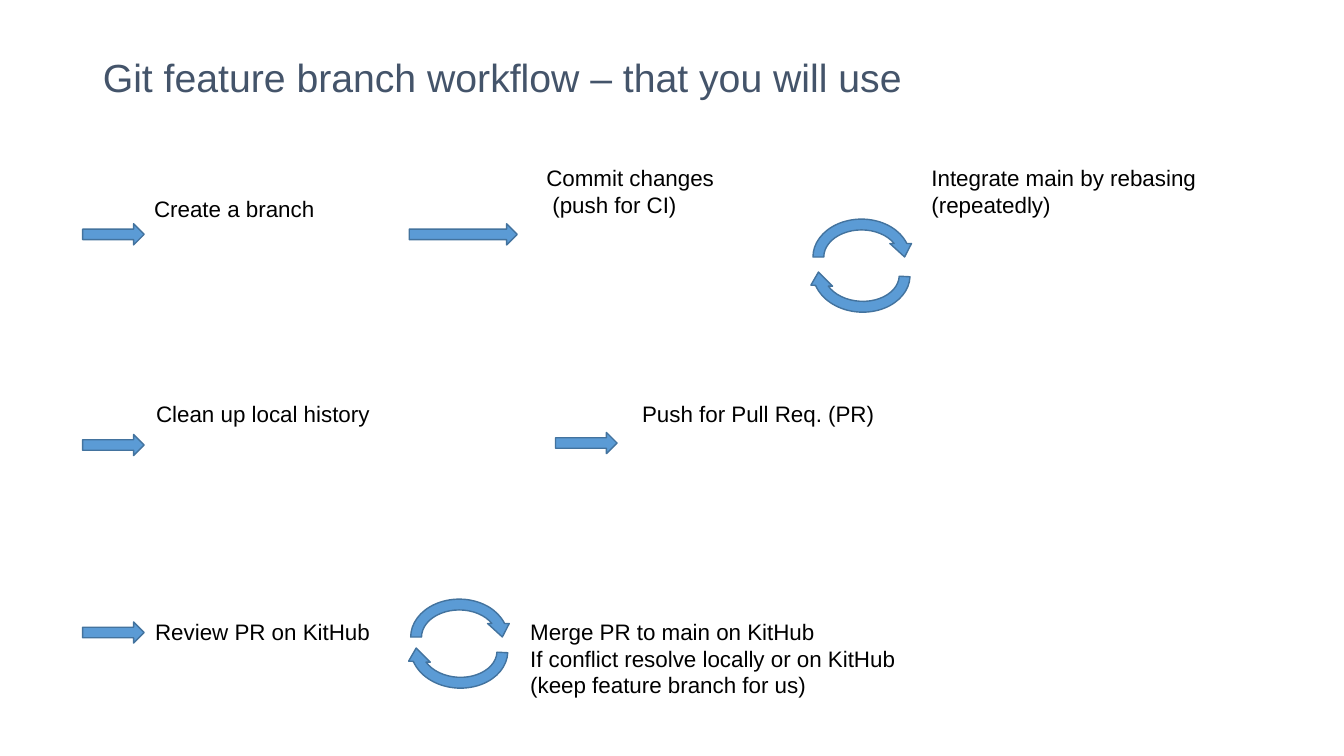
from dataclasses import dataclass

import pptx
import pptx.dml.color
import pptx.enum.shapes
import pptx.enum.text
import pptx.util

EMU_PER_PX = 9144
TITLE_ONLY = 5
PRESET = pptx.enum.shapes.MSO_SHAPE


@dataclass(frozen=True)
class Theme:
    font: str = "Arial"
    title_color: str = "44546A"
    text_color: str = "000000"
    arrow_fill: str = "5B9BD5"
    arrow_line: str = "43739E"
    title_size: int = 28
    label_size: int = 16
    line_width: int = 1


THEME = Theme()


def px(length):
    return pptx.util.Emu(length * EMU_PER_PX)


def rgb(value):
    return pptx.dml.color.RGBColor.from_string(value)


def add_run(paragraph, text, size, color):
    run = paragraph.add_run()
    run.text = text
    run.font.name = THEME.font
    run.font.size = pptx.util.Pt(size)
    run.font.color.rgb = rgb(color)


def set_title(slide, text):
    title = slide.shapes.title
    title.left, title.top, title.width, title.height = map(px, (92, 40, 1150, 78))
    frame = title.text_frame
    frame.vertical_anchor = pptx.enum.text.MSO_ANCHOR.MIDDLE
    frame.auto_size = pptx.enum.text.MSO_AUTO_SIZE.NONE
    heading = frame.paragraphs[0]
    heading.alignment = pptx.enum.text.PP_ALIGN.LEFT
    heading.line_spacing = 0.9
    add_run(heading, text, THEME.title_size, THEME.title_color)


def add_step(slide, left, top, width, lines, indent=0):
    height = 10 + 27 * len(lines)
    step = slide.shapes.add_textbox(px(left), px(top), px(width), px(height))
    frame = step.text_frame
    frame.word_wrap = False
    frame.auto_size = pptx.enum.text.MSO_AUTO_SIZE.SHAPE_TO_FIT_TEXT
    for number, line in enumerate(lines):
        paragraph = frame.add_paragraph() if number else frame.paragraphs[0]
        if number and indent:
            paragraph._p.get_or_add_pPr().set("marL", str(px(indent)))
        add_run(paragraph, line, THEME.label_size, THEME.text_color)


def add_arrow(slide, preset, left, top, width, height, rotation=0):
    arrow = slide.shapes.add_shape(preset, px(left), px(top), px(width), px(height))
    arrow.rotation = rotation
    arrow.shadow.inherit = False
    arrow.fill.solid()
    arrow.fill.fore_color.rgb = rgb(THEME.arrow_fill)
    arrow.line.color.rgb = rgb(THEME.arrow_line)
    arrow.line.width = pptx.util.Pt(THEME.line_width)


def add_cycle(slide, left, top, offset):
    for shift, rotation in ((0, 0), (offset, 183)):
        add_arrow(slide, PRESET.CIRCULAR_ARROW, left, top + shift, 107, 86, rotation)


def main():
    deck = pptx.Presentation()
    deck.slide_width, deck.slide_height = px(1333), px(750)
    slide = deck.slides.add_slide(deck.slide_layouts[TITLE_ONLY])
    set_title(slide, "Git feature branch workflow – that you will use")

    add_step(slide, 143, 189, 181, ["Create a branch"])
    add_step(slide, 532, 158, 188, ["Commit changes", "(push for CI)"], indent=6)
    add_step(slide, 914, 158, 286, ["Integrate main by rebasing", "(repeatedly)"])
    add_step(slide, 145, 392, 234, ["Clean up local history"])
    add_step(slide, 627, 392, 253, ["Push for Pull Req. (PR)"])
    add_step(slide, 144, 608, 238, ["Review PR on KitHub"])
    add_step(slide, 516, 608, 389, [
        "Merge PR to main on KitHub",
        "If conflict resolve locally or on KitHub",
        "(keep feature branch for us)",
    ])

    add_cycle(slide, 801, 212, 17)
    add_cycle(slide, 402, 589, 13)
    for left, top, width in (
        (82, 222, 61), (406, 222, 107), (82, 431, 61), (551, 429, 61), (82, 617, 61),
    ):
        add_arrow(slide, PRESET.RIGHT_ARROW, left, top, width, 21)

    deck.save("out.pptx")


if __name__ == "__main__":
    main()
